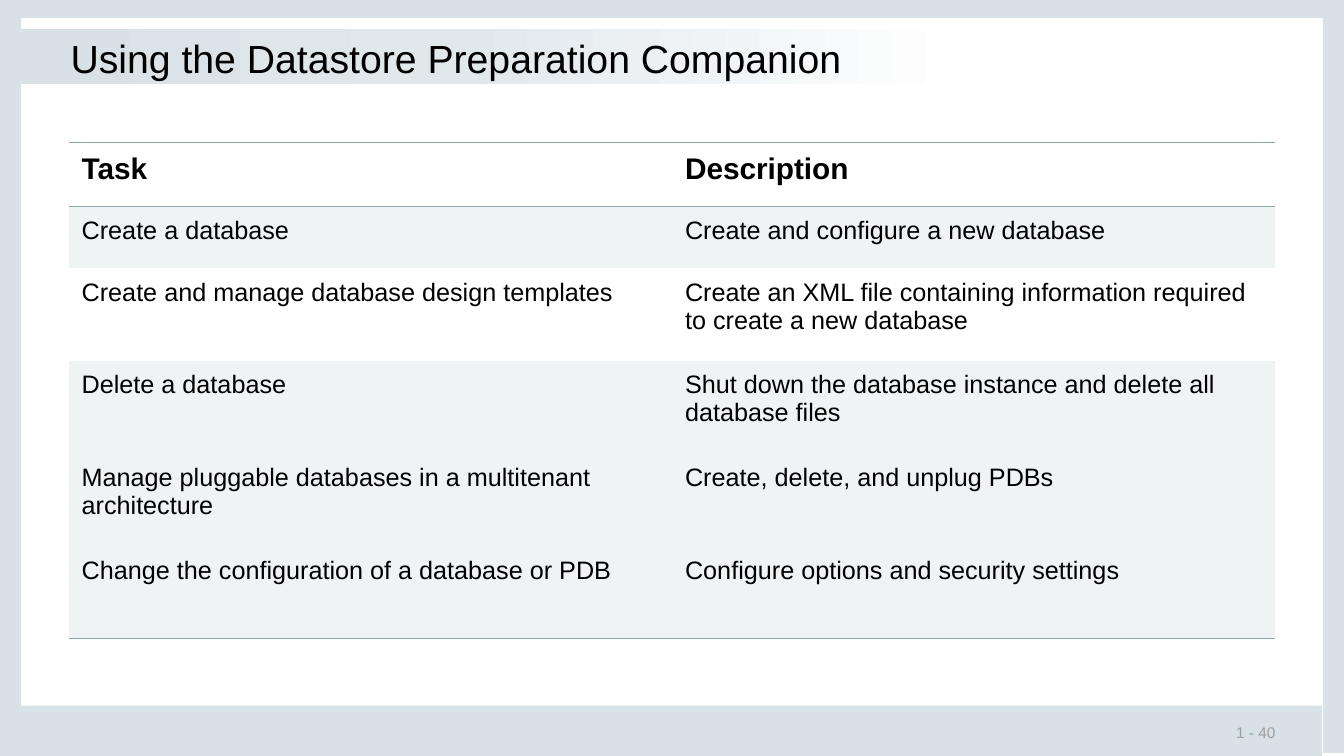
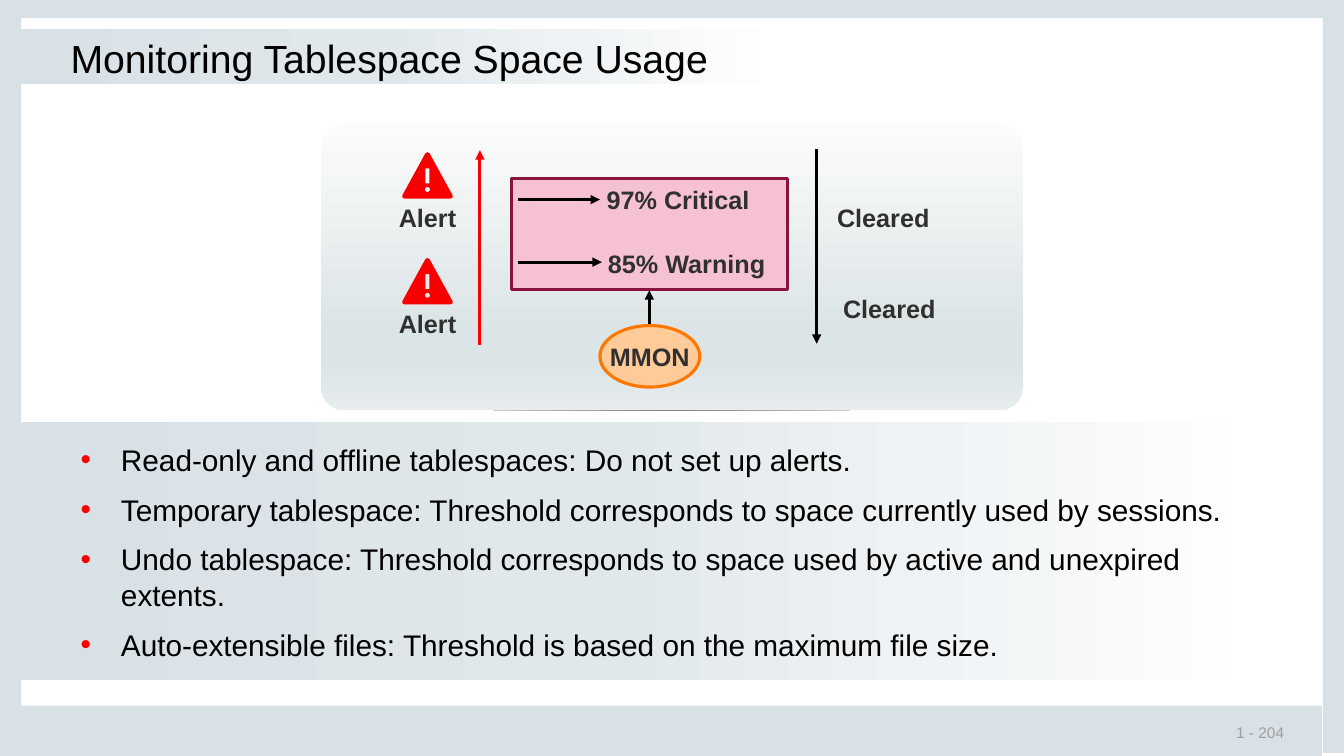
import math
from typing import NamedTuple

from lxml import etree
from pptx import Presentation
from pptx import util as u
from pptx.dml.color import RGBColor
from pptx.enum import shapes, text
from pptx.oxml.ns import qn

FONT = "Arial"
BLACK = RGBColor(0x00, 0x00, 0x00)
WHITE = RGBColor(0xFF, 0xFF, 0xFF)
INK = RGBColor(0x30, 0x30, 0x30)
GRAY = RGBColor(0x80, 0x80, 0x80)
PAGE_GRAY = RGBColor(0x9F, 0x9F, 0x9F)
FRAME = RGBColor(0xD8, 0xE1, 0xE6)
ROW_TINT = RGBColor(0xEF, 0xF3, 0xF4)
RULE = RGBColor(0x8D, 0xA6, 0xB1)
RED = RGBColor(0xF8, 0x00, 0x00)
PINK = RGBColor(0xF6, 0xC1, 0xD3)
MAROON = RGBColor(0x8A, 0x13, 0x3B)
PEACH = RGBColor(0xFF, 0xCC, 0x99)
ORANGE = RGBColor(0xFF, 0x77, 0x00)

FADE = [(0, FRAME), (47, RGBColor(0xE1, 0xE8, 0xEC)), (100, WHITE)]
PANEL_FADE = [(0, RGBColor(0xFB, 0xFC, 0xFC)), (74, RGBColor(0xDB, 0xE4, 0xE6)),
              (83, RGBColor(0xDB, 0xE4, 0xE6)), (100, RGBColor(0xE7, 0xED, 0xEE))]
SHADOW_FADE = [(0, WHITE), (50, GRAY), (100, WHITE)]

LEFT = 0.68
WIDTH = 11.97
NO_GRID_STYLE = "{2D5ABB26-0587-4C30-8999-92F81FD0307C}"
Kind = shapes.MSO_SHAPE
Align = text.PP_ALIGN
Anchor = text.MSO_ANCHOR


class Area(NamedTuple):
    left: float
    top: float
    width: float
    height: float

    def lengths(self):
        return [u.Inches(value) for value in self]


class Label(NamedTuple):
    words: str
    area: Area


class Arrow(NamedTuple):
    start: tuple[float, float]
    end: tuple[float, float]
    color: RGBColor = BLACK


FRAME_BANDS = [Area(13.12, 0, 0.21, 7.47), Area(0, 0, 0.21, 7.46),
               Area(0, 7, 13.11, 0.5), Area(0, 0, 13.33, 0.18)]

TASKS = [
    ("Task", "Description"),
    ("Create a database", "Create and configure a new database"),
    ("Create and manage database design templates",
     "Create an XML file containing information required to create a new database"),
    ("Delete a database",
     "Shut down the database instance and delete all database files"),
    ("Manage pluggable databases in a multitenant architecture",
     "Create, delete, and unplug PDBs"),
    ("Change the configuration of a database or PDB",
     "Configure options and security settings"),
]
ROW_HEIGHTS = [0.64, 0.61] + [0.92] * 4
TINTED_ROWS = {1, 3, 4, 5}

BULLETS = [
    "Read-only and offline tablespaces: Do not set up alerts.",
    "Temporary tablespace: Threshold corresponds to space currently used by sessions.",
    "Undo tablespace: Threshold corresponds to space used by active and unexpired extents.",
    "Auto-extensible files: Threshold is based on the maximum file size.",
]

LABELS = [
    Label("97% Critical", Area(5.85, 1.78, 1.75, 0.39)),
    Label("85% Warning", Area(5.81, 2.41, 2, 0.39)),
    Label("Cleared", Area(8.1, 1.96, 1.32, 0.39)),
    Label("Cleared", Area(8.16, 2.86, 1.32, 0.39)),
]
ARROWS = [
    Arrow((5.14, 1.98), (5.95, 1.98)),
    Arrow((5.14, 2.6), (5.97, 2.6)),
    Arrow((4.76, 3.42), (4.76, 1.49), RED),
    Arrow((8.1, 1.48), (8.1, 3.41)),
    Arrow((6.44, 3.21), (6.44, 2.88)),
]
ALERT_TOPS = [1.51, 2.56]


# Text
def write_text(para, words: str, *, size: float, color: RGBColor = BLACK,
               bold: bool = False, align=Align.LEFT, before: float = 0) -> None:
    para.alignment = align
    para.space_before = u.Pt(before)
    span = para.add_run()
    span.text = words
    span.font.name = FONT
    span.font.size = u.Pt(size)
    span.font.bold = bold
    span.font.color.rgb = color


def set_frame(frame, inset_x: float, inset_y: float, anchor=Anchor.TOP, wrap: bool = True) -> None:
    frame.auto_size = text.MSO_AUTO_SIZE.NONE
    frame.word_wrap = wrap
    frame.vertical_anchor = anchor
    frame.margin_left = frame.margin_right = u.Inches(inset_x)
    frame.margin_top = frame.margin_bottom = u.Inches(inset_y)


def add_label(page, label: Label) -> None:
    box = page.shapes.add_textbox(*label.area.lengths())
    set_frame(box.text_frame, 0.09, 0.05)
    write_text(box.text_frame.paragraphs[0], label.words, size=18, color=INK,
               bold=True, align=Align.CENTER)


def place(holder, area: Area) -> None:
    holder.left, holder.top, holder.width, holder.height = area.lengths()
    set_frame(holder.text_frame, 0.02, 0.02)


def add_bullet(para) -> None:
    props = para._p.get_or_add_pPr()
    props.set("marL", str(u.Inches(0.5)))
    props.set("indent", str(u.Inches(-0.4)))
    tint = etree.SubElement(props, qn("a:buClr"))
    etree.SubElement(tint, qn("a:srgbClr"), val=str(RED))
    etree.SubElement(props, qn("a:buFont"), typeface=FONT)
    etree.SubElement(props, qn("a:buChar"), char="•")


# Shapes
def paint(shape, fill: RGBColor, line: RGBColor | None = None) -> None:
    shape.shadow.inherit = False
    shape.fill.solid()
    shape.fill.fore_color.rgb = fill
    if line is None:
        shape.line.fill.background()
    else:
        shape.line.color.rgb = line
        shape.line.width = u.Pt(2.25)


def paint_fade(shape, stops: list, angle: int = 0) -> None:
    paint(shape, WHITE)
    shape.fill.gradient()
    shape.fill.gradient_angle = angle
    stop_list = next(shape.element.iter(qn("a:gsLst")))
    stop_list.clear()
    for percent, color in stops:
        stop = etree.SubElement(stop_list, qn("a:gs"), pos=str(percent * 1000))
        etree.SubElement(stop, qn("a:srgbClr"), val=str(color))


def add_shape(page, kind, area: Area):
    return page.shapes.add_shape(kind, *area.lengths())


def send_behind(owner, shape) -> None:
    """Put the shape at the back of a slide or of the master."""
    owner.shapes.element.insert(2, shape.element)


def add_fade_band(page, area: Area) -> None:
    band = add_shape(page, Kind.RECTANGLE, area)
    paint_fade(band, FADE)
    send_behind(page, band)


def add_outline(page, *contours: list):
    first, *holes = [[(u.Inches(x), u.Inches(y)) for x, y in points] for points in contours]
    builder = page.shapes.build_freeform(*first[0])
    builder.add_line_segments(first[1:])
    for hole in holes:
        builder.move_to(*hole[0])
        builder.add_line_segments(hole[1:])
    return builder.convert_to_shape()


def add_alert(page, top: float) -> None:
    """Red triangle with an exclamation mark cut out, and its label."""
    middle, left, right, foot = 4.24, 3.99, 4.49, top + 0.46
    triangle = [(middle - 0.02, top + 0.01), (middle, top), (middle + 0.02, top + 0.01),
                (right, foot - 0.03), (right, foot - 0.01), (right - 0.02, foot),
                (left + 0.02, foot), (left, foot - 0.01), (left, foot - 0.03)]
    bar = [(middle + x, top + y) for x, y in
           [(-0.02, 0.16), (-0.02, 0.31), (0.02, 0.31), (0.02, 0.16)]]
    turns = [math.tau * step / 16 for step in range(16)]
    dot = [(middle + 0.025 * math.cos(turn), top + 0.37 + 0.025 * math.sin(turn))
           for turn in turns]
    paint(add_outline(page, triangle, bar, dot), RED)
    add_label(page, Label("Alert", Area(3.83, top + 0.45, 0.82, 0.39)))


def add_arrow(page, arrow: Arrow) -> None:
    ends = [u.Inches(value) for value in arrow.start + arrow.end]
    line = page.shapes.add_connector(shapes.MSO_CONNECTOR.STRAIGHT, *ends)
    line.line.color.rgb = arrow.color
    line.line.width = u.Pt(2.25)
    etree.SubElement(line.line._get_or_add_ln(), qn("a:tailEnd"), type="triangle")
    etree.SubElement(line.element.spPr, qn("a:effectLst"))


# Parts shared by the slides
def add_master_frame(deck, page) -> None:
    for number, area in enumerate(FRAME_BANDS, start=101):
        band = add_shape(page, Kind.RECTANGLE, area)
        paint(band, FRAME)
        band.element.nvSpPr.cNvPr.set("id", str(number))
        send_behind(deck.slide_master, band)


def start_page(deck, layout: int, title: str, bar_width: float, number: str):
    page = deck.slides.add_slide(deck.slide_layouts[layout])
    place(page.shapes.title, Area(LEFT, 0.32, WIDTH, 0.96))
    write_text(page.shapes.title.text_frame.paragraphs[0], title, size=28)
    add_fade_band(page, Area(0.2, 0.29, bar_width, 0.54))
    box = page.shapes.add_textbox(*Area(12.13, 7.17, 1.18, 0.2).lengths())
    set_frame(box.text_frame, 0.13, 0.07, Anchor.MIDDLE)
    write_text(box.text_frame.paragraphs[0], number, size=11, color=PAGE_GRAY)
    return page


# Task table
def add_rule(cell, side: str) -> None:
    line = etree.Element(qn(f"a:{side}"), w=str(u.Pt(1)))
    fill = etree.SubElement(line, qn("a:solidFill"))
    etree.SubElement(fill, qn("a:srgbClr"), val=str(RULE))
    cell._tc.get_or_add_tcPr().insert(0, line)


def add_task_table(page) -> None:
    area = Area(LEFT, 1.41, WIDTH, sum(ROW_HEIGHTS))
    table = page.shapes.add_table(len(TASKS), 2, *area.lengths()).table
    table.horz_banding = False
    next(table._tbl.iter(qn("a:tableStyleId"))).text = NO_GRID_STYLE
    for index, (words, height) in enumerate(zip(TASKS, ROW_HEIGHTS)):
        table.rows[index].height = u.Inches(height)
        header = index == 0
        for cell, entry in zip(table.rows[index].cells, words):
            cell.margin_left = cell.margin_right = u.Inches(0.13)
            cell.margin_top = cell.margin_bottom = u.Inches(0.1)
            write_text(cell.text_frame.paragraphs[0], entry,
                       size=21.3 if header else 18, bold=header)
            if index in TINTED_ROWS:
                cell.fill.solid()
                cell.fill.fore_color.rgb = ROW_TINT
            else:
                cell.fill.background()
            if header or index == len(TASKS) - 1:
                add_rule(cell, "lnB")
            if header:
                add_rule(cell, "lnT")


# Threshold diagram
def add_diagram(page) -> None:
    curve = [(6.66 + 3.2 * step / 10, 4.04 + 0.04 * (1 - (step / 10) ** 2))
             for step in range(10, -11, -1)]
    paint_fade(add_outline(page, curve), SHADOW_FADE)
    panel = add_shape(page, Kind.ROUNDED_RECTANGLE, Area(3.18, 1.22, 6.97, 2.85))
    panel.adjustments[0] = 0.09
    paint_fade(panel, PANEL_FADE, 270)

    process = add_shape(page, Kind.OVAL, Area(5.95, 3.23, 0.99, 0.61))
    paint(process, PEACH, ORANGE)
    set_frame(process.text_frame, 0, 0, Anchor.MIDDLE, wrap=False)
    write_text(process.text_frame.paragraphs[0], "MMON", size=18, color=INK,
               bold=True, align=Align.CENTER)
    paint(add_shape(page, Kind.RECTANGLE, Area(5.07, 1.77, 2.74, 1.1)), PINK, MAROON)
    for arrow in ARROWS:
        add_arrow(page, arrow)
    for label in LABELS:
        add_label(page, label)
    for top in ALERT_TOPS:
        add_alert(page, top)


def add_bullets(page) -> None:
    add_fade_band(page, Area(0.2, 4.19, 12.45, 2.56))
    body = page.placeholders[1]
    place(body, Area(LEFT, 4.36, 11.8, 2.18))
    for index, words in enumerate(BULLETS):
        frame = body.text_frame
        para = frame.add_paragraph() if index else frame.paragraphs[0]
        add_bullet(para)
        write_text(para, words, size=21.3, before=10 if index else 0)


def main() -> None:
    deck = Presentation()
    deck.slide_width, deck.slide_height = u.Inches(13.33), u.Inches(7.5)

    tasks = start_page(deck, 5, "Using the Datastore Preparation Companion", 9.3, "1 - 40")
    add_master_frame(deck, tasks)
    add_task_table(tasks)

    usage = start_page(deck, 1, "Monitoring Tablespace Space Usage", 7.61, "1 - 204")
    add_diagram(usage)
    add_bullets(usage)
    deck.save("out.pptx")


if __name__ == "__main__":
    main()
